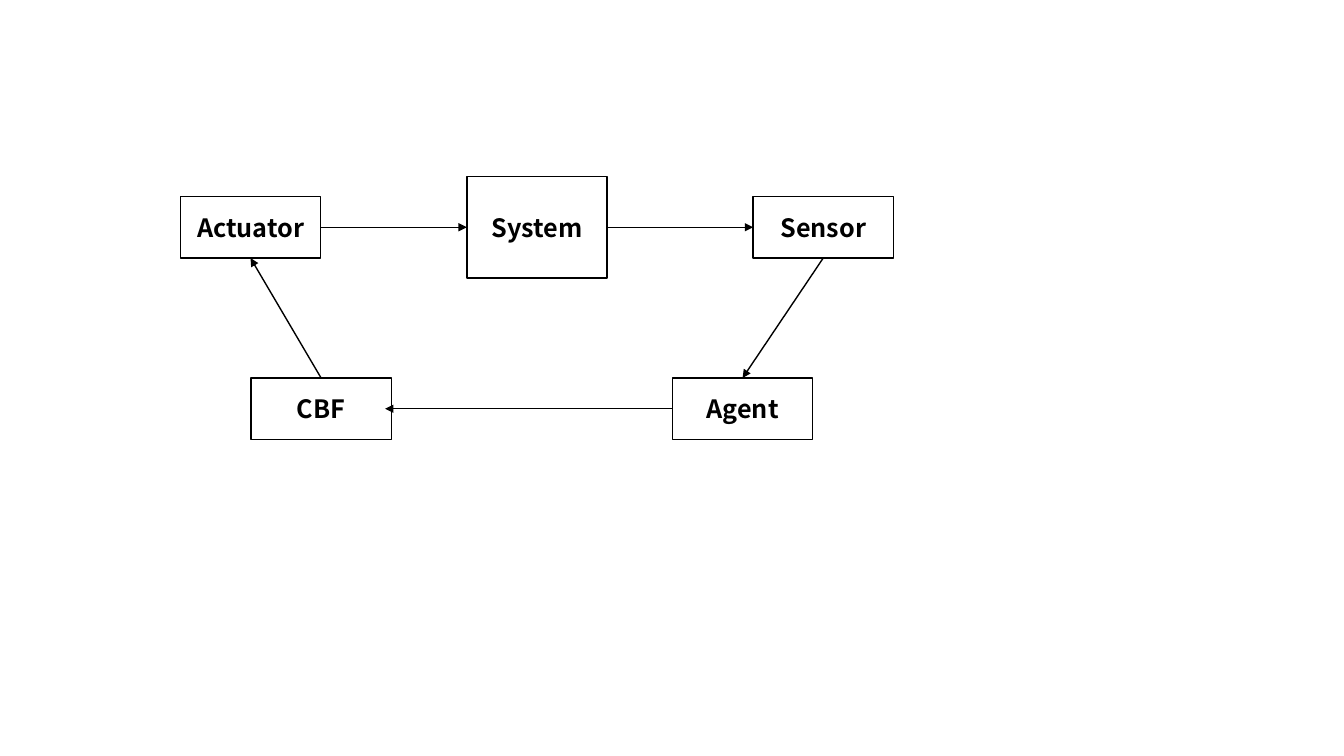
from pptx import Presentation
from pptx.dml.color import RGBColor
from pptx.enum.shapes import MSO_CONNECTOR, MSO_SHAPE
from pptx.enum.text import MSO_ANCHOR, PP_ALIGN
from pptx.oxml.ns import qn
from pptx.util import Pt
from lxml.etree import SubElement

SCALE = 9144
TOP, LEFT, BOTTOM, RIGHT = range(4)


def px(n):
    """Turn px into EMU."""
    return n * SCALE


def color(code):
    """Turn a hex string into a colour."""
    return RGBColor.from_string(code)


def write(frame, text, font="Noto Sans CJK JP", size=18, bold=True, ink="000000"):
    """Put centred text into a frame."""
    frame.word_wrap = True
    frame.vertical_anchor = MSO_ANCHOR.MIDDLE
    para = frame.paragraphs[0]
    para.alignment = PP_ALIGN.CENTER
    run = para.add_run()
    run.text = text
    run.font.name = font
    run.font.size = Pt(size)
    run.font.bold = bold
    run.font.color.rgb = color(ink)


class Board:
    """Hold the line style and the current slide."""

    def __init__(self, slide, ink="000000", width=1):
        """Keep the slide and its style."""
        self.shapes = slide.shapes
        self.ink = ink
        self.width = width

    def stroke(self, line):
        """Give a line the board's colour and width."""
        line.color.rgb = color(self.ink)
        line.width = Pt(self.width)

    def box(self, text, x, y, w=139, h=61):
        """Add a labelled block."""
        block = self.shapes.add_shape(
            MSO_SHAPE.RECTANGLE, px(x), px(y), px(w), px(h))
        block.shadow.inherit = False
        block.fill.background()
        self.stroke(block.line)
        write(block.text_frame, text, ink=self.ink)
        return block

    def arrow(self, start, side, end=None, goal=None, tip=(0, 0)):
        """Add an arrow from a block's side to another's, or to a free tip."""
        x, y = map(px, tip)
        link = self.shapes.add_connector(MSO_CONNECTOR.STRAIGHT, x, y, x, y)
        link.begin_connect(start, side)
        if end is None:
            link.end_x, link.end_y = x, link.begin_y
        else:
            link.end_connect(end, goal)
        self.stroke(link.line)
        props = link._element.spPr
        SubElement(props.find(qn("a:ln")), qn("a:tailEnd"), type="triangle")
        SubElement(props, qn("a:effectLst"))


def main():
    """Draw the control loop."""
    deck = Presentation()
    deck.slide_width, deck.slide_height = px(1333), px(750)
    board = Board(deck.slides.add_slide(deck.slide_layouts[6]))

    drive = board.box("Actuator", 179, 195)
    plant = board.box("System", 463, 175, h=101)
    sensor = board.box("Sensor", 747, 195)
    agent = board.box("Agent", 667, 375)
    guard = board.box("CBF", 249, 375)

    board.arrow(drive, RIGHT, plant, LEFT)
    board.arrow(plant, RIGHT, sensor, LEFT)
    board.arrow(sensor, BOTTOM, agent, TOP)
    board.arrow(agent, LEFT, tip=(382, 406))
    board.arrow(guard, TOP, drive, BOTTOM)

    deck.save("out.pptx")


if __name__ == "__main__":
    main()
